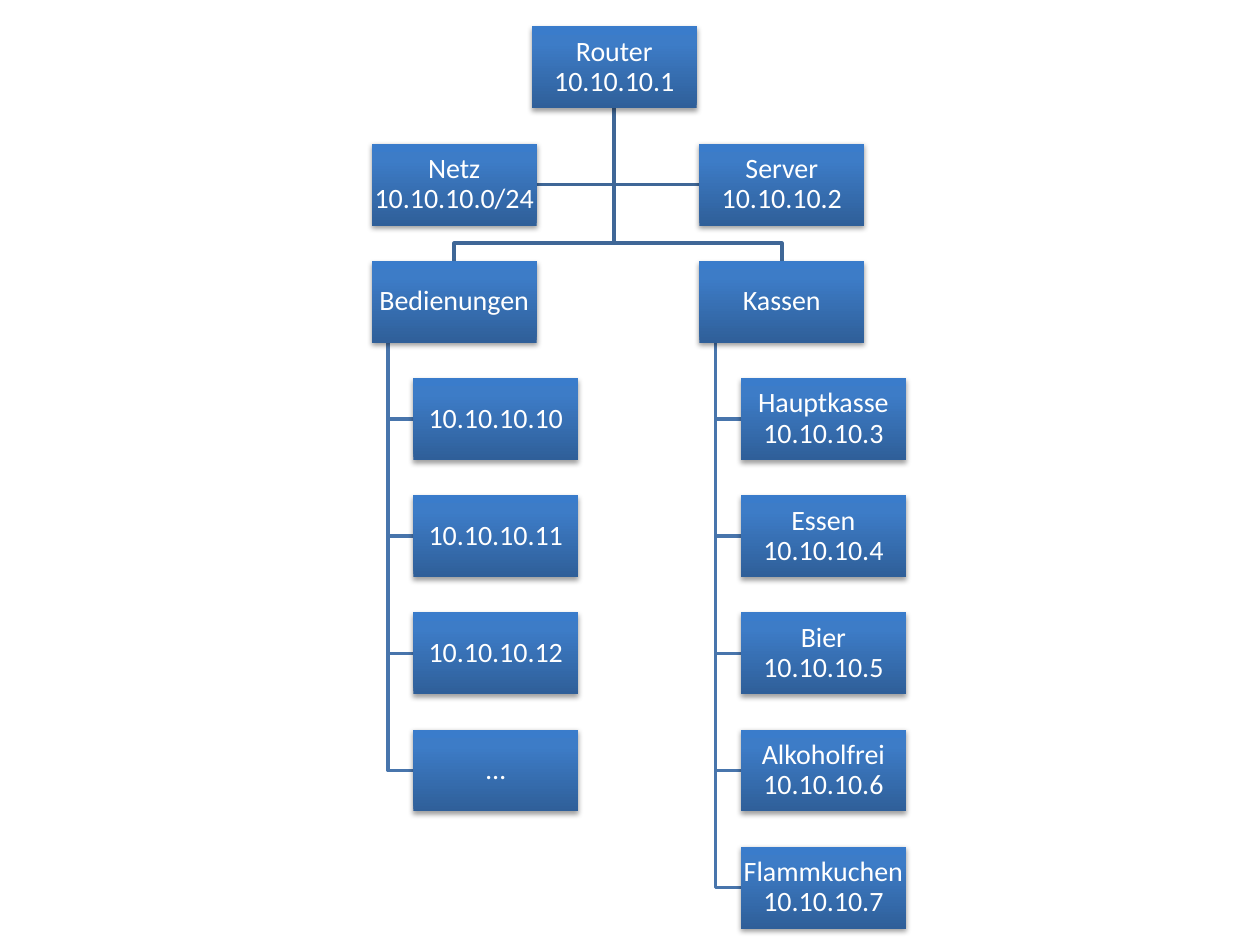
"""Build an organisation chart of the network addresses behind a router."""
import copy

import lxml.etree
import pptx
import pptx.dml.color
import pptx.enum.shapes
import pptx.enum.text
import pptx.oxml.ns
import pptx.util

Inches = pptx.util.Inches
RGBColor = pptx.dml.color.RGBColor
qn = pptx.oxml.ns.qn

WHITE = RGBColor(0xFF, 0xFF, 0xFF)
TRUNK = RGBColor(0x3F, 0x67, 0x97)
BRANCH = RGBColor(0x48, 0x75, 0xAC)
GRADIENT = [
    (0, RGBColor(0x2F, 0x5F, 0x99)),
    (0.8, RGBColor(0x3D, 0x7C, 0xC7)),
    (1, RGBColor(0x3A, 0x7C, 0xCB)),
]

BOX_W, BOX_H = 1.31, 0.65
TOP, ROW = 0.21, 0.93
ROUTER_X = 4.22
GROUP_X = [2.95, 5.55]
INDENT, STEM = 0.33, 0.13
BUS_RISE = 0.14

ASSISTANTS = ["Netz\v10.10.10.0/24", "Server\v10.10.10.2"]
GROUPS = [
    ("Bedienungen", ["10.10.10.10", "10.10.10.11", "10.10.10.12", "…"]),
    ("Kassen", ["Hauptkasse\v10.10.10.3", "Essen\v10.10.10.4", "Bier\v10.10.10.5",
                "Alkoholfrei\v10.10.10.6", "Flammkuchen\v10.10.10.7"]),
]

deck = pptx.Presentation()
deck.slide_width, deck.slide_height = Inches(10), Inches(7.5)
slide = deck.slides.add_slide(deck.slide_layouts[6])


def add_link(points, color):
    corners = [(Inches(x), Inches(y)) for x, y in points]
    outline = slide.shapes.build_freeform(*corners[0])
    outline.add_line_segments(corners[1:], close=False)
    link = outline.convert_to_shape()
    link.fill.background()
    link.line.color.rgb = color
    link.line.width = pptx.util.Pt(2)
    link.shadow.inherit = False


def add_box(label, left, row):
    box = slide.shapes.add_shape(
        pptx.enum.shapes.MSO_SHAPE.RECTANGLE,
        Inches(left), Inches(TOP + row * ROW), Inches(BOX_W), Inches(BOX_H))
    box.fill.gradient()
    box.fill.gradient_angle = 90
    properties = box._element.spPr
    stops = properties.find(".//" + qn("a:gsLst"))
    stops.append(copy.deepcopy(stops[-1]))
    for stop, (position, color) in zip(box.fill.gradient_stops, GRADIENT):
        stop.position = position
        stop.color.rgb = color
    box.line.fill.background()
    box.shadow.inherit = False
    shadow = lxml.etree.SubElement(
        properties.find(qn("a:effectLst")), qn("a:outerShdw"),
        blurRad="40000", dist="20000", dir="5400000", rotWithShape="0")
    black = lxml.etree.SubElement(shadow, qn("a:srgbClr"), val="000000")
    lxml.etree.SubElement(black, qn("a:alpha"), val="38000")

    frame = box.text_frame
    frame.word_wrap = True
    frame.vertical_anchor = pptx.enum.text.MSO_ANCHOR.MIDDLE
    frame.margin_left = frame.margin_right = Inches(0.01)
    frame.margin_top = frame.margin_bottom = Inches(0.01)
    frame.text = label
    paragraph = frame.paragraphs[0]
    paragraph.alignment = pptx.enum.text.PP_ALIGN.CENTER
    paragraph.line_spacing = 0.9
    paragraph.font.name = "Calibri"
    paragraph.font.size = pptx.util.Pt(16)
    paragraph.font.color.rgb = WHITE


router_center = ROUTER_X + BOX_W / 2
router_bottom = TOP + BOX_H
assistant_middle = TOP + ROW + BOX_H / 2
group_top = TOP + 2 * ROW
bus = group_top - BUS_RISE
assistant_edges = [GROUP_X[0] + BOX_W, GROUP_X[1]]

for left, edge, (_, members) in zip(GROUP_X, assistant_edges, GROUPS):
    start = (router_center, router_bottom)
    group_center = left + BOX_W / 2
    add_link([start, (router_center, assistant_middle), (edge, assistant_middle)], TRUNK)
    add_link([start, (router_center, bus), (group_center, bus), (group_center, group_top)], TRUNK)
    stem = left + STEM
    for row in range(3, 3 + len(members)):
        middle = TOP + row * ROW + BOX_H / 2
        add_link([(stem, group_top + BOX_H), (stem, middle), (left + INDENT, middle)], BRANCH)

add_box("Router\v10.10.10.1", ROUTER_X, 0)
for left, assistant, (group, members) in zip(GROUP_X, ASSISTANTS, GROUPS):
    add_box(assistant, left, 1)
    add_box(group, left, 2)
    for row, member in enumerate(members, start=3):
        add_box(member, left + INDENT, row)

deck.save("out.pptx")
